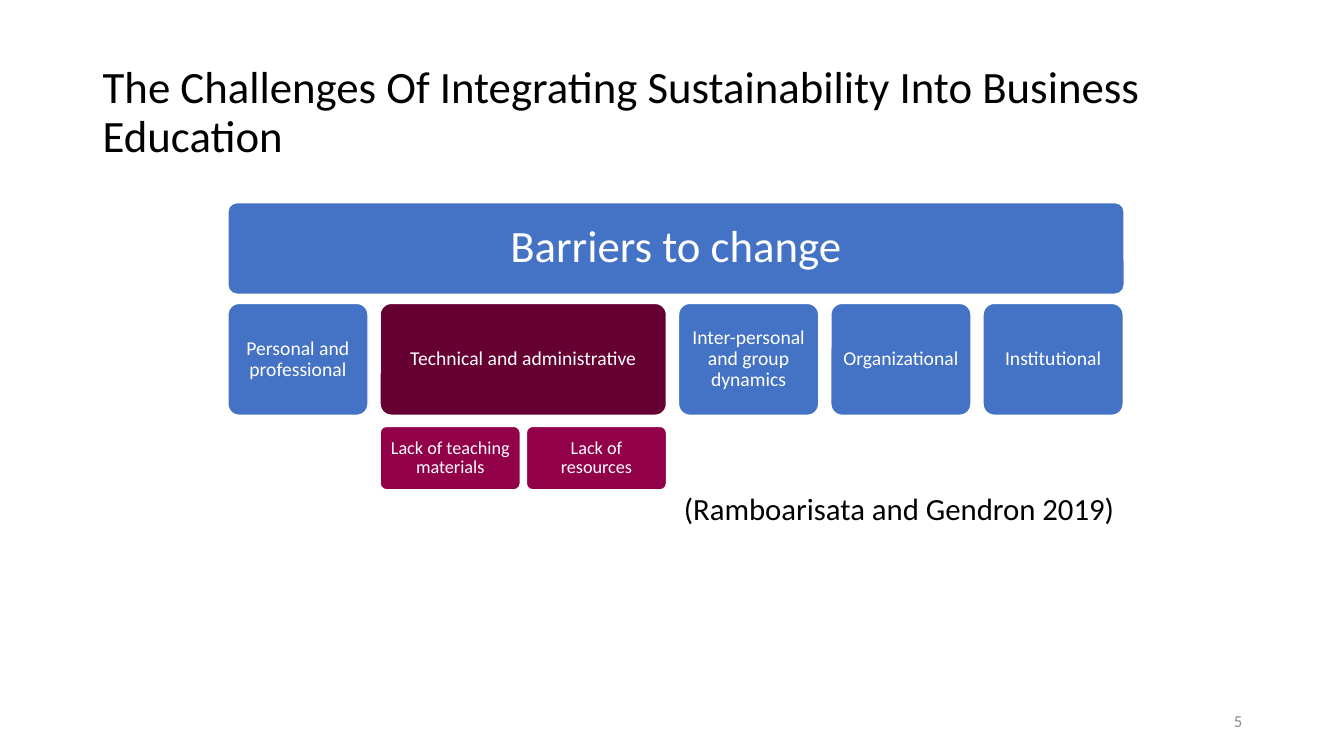
from pptx import Presentation
from pptx.dml.color import RGBColor
from pptx.enum.shapes import MSO_SHAPE as Shape
from pptx.enum.text import MSO_ANCHOR as Anchor, PP_ALIGN as Align
from pptx.util import Inches, Pt

BLACK = RGBColor(0x00, 0x00, 0x00)
WHITE = RGBColor(0xFF, 0xFF, 0xFF)
GREY = RGBColor(0x8C, 0x8C, 0x8C)
BLUE = RGBColor(0x44, 0x72, 0xC4)
WINE = RGBColor(0x66, 0x00, 0x33)
BERRY = RGBColor(0x92, 0x00, 0x49)

# Barrier chart: unit column width, gap between barriers, gap between causes
UNIT, GAP, CAUSE_GAP = 1.39, 0.12, 0.06
HEADER_HEIGHT, BARRIER_HEIGHT, CAUSE_HEIGHT = 0.91, 1.11, 0.63
BARRIER_TOP, CAUSE_TOP = 1.0, 2.22

# Each barrier with its fill and the causes listed below it
BARRIERS = [
    ("Personal and professional", BLUE, []),
    ("Technical and administrative", WINE,
     ["Lack of teaching materials", "Lack of resources"]),
    ("Inter-personal and group dynamics", BLUE, []),
    ("Organizational", BLUE, []),
    ("Institutional", BLUE, []),
]


def write(shape, text, size, color, align, anchor, spacing=0.9):
    frame = shape.text_frame
    frame.word_wrap = True
    frame.vertical_anchor = anchor
    para = frame.paragraphs[0]
    para.alignment = align
    para.line_spacing = spacing
    span = para.add_run()
    span.text = text
    span.font.name = "Calibri"
    span.font.size = Pt(size)
    span.font.color.rgb = color
    return para


def add_text(page, box, text, size, color, align=Align.LEFT,
             anchor=Anchor.MIDDLE, spacing=0.9):
    shape = page.shapes.add_textbox(*map(Inches, box))
    return write(shape, text, size, color, align, anchor, spacing)


def add_card(page, box, text, size, fill, inset):
    card = page.shapes.add_shape(Shape.ROUNDED_RECTANGLE, *map(Inches, box))
    card.adjustments[0] = 0.1
    card.shadow.inherit = False
    card.fill.solid()
    card.fill.fore_color.rgb = fill
    card.line.color.rgb = WHITE
    card.line.width = Pt(1)
    frame = card.text_frame
    frame.margin_left = frame.margin_right = Inches(inset)
    frame.margin_top = frame.margin_bottom = Inches(inset)
    write(card, text, size, WHITE, Align.CENTER, Anchor.MIDDLE)


def add_barrier_chart(page, left, top, width):
    # Header across all barriers
    add_card(page, (left, top, width, HEADER_HEIGHT),
             "Barriers to change", 32, BLUE, 0.13)

    # A barrier is as wide as the row of its causes
    for barrier, fill, causes in BARRIERS:
        columns = max(1, len(causes))
        span_width = columns * UNIT + (columns - 1) * CAUSE_GAP
        add_card(page, (left, top + BARRIER_TOP, span_width, BARRIER_HEIGHT),
                 barrier, 14, fill, 0.06)
        for index, cause in enumerate(causes):
            cause_left = left + index * (UNIT + CAUSE_GAP)
            add_card(page, (cause_left, top + CAUSE_TOP, UNIT, CAUSE_HEIGHT),
                     cause, 13, BERRY, 0.05)
        left += span_width + GAP


def build_barriers_slide(deck):
    page = deck.slides.add_slide(deck.slide_layouts[6])

    # Title
    add_text(page, (0.92, 0.4, 11.5, 1.45),
             "The Challenges Of Integrating Sustainability Into Business Education",
             32, BLACK)

    # Slide number
    add_text(page, (9.42, 6.95, 3, 0.4), "5", 12, GREY, Align.RIGHT, spacing=1.0)

    # Chart
    add_barrier_chart(page, 2.26, 2.01, 8.89)

    # Citation
    citation = add_text(page, (0.21, 4.85, 10.94, 2.84),
                        "(Ramboarisata and Gendron 2019)", 22, BLACK,
                        Align.RIGHT, Anchor.TOP)
    citation.space_before = Pt(10)


def main():
    deck = Presentation()
    deck.slide_width = Inches(13.33)
    deck.slide_height = Inches(7.5)
    build_barriers_slide(deck)
    deck.save("out.pptx")


if __name__ == "__main__":
    main()
